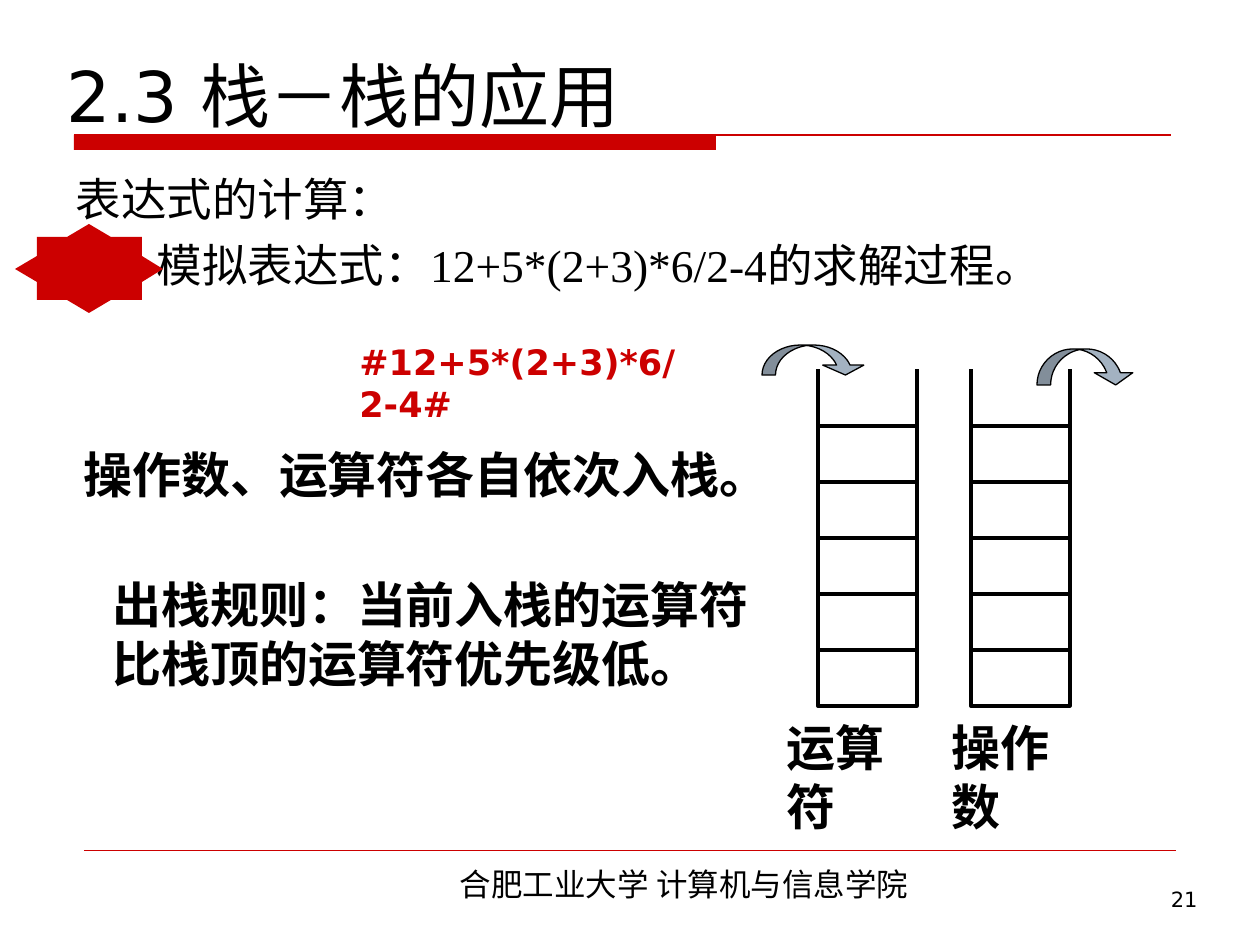
from lxml import etree
from pptx import Presentation, util as u
from pptx.dml.color import RGBColor
from pptx.enum import shapes, text
from pptx.oxml.ns import qn

PX = 914400 / 126
RED, BLACK, STEEL = "CC0000", "000000", "A3B2C1"
SANS, CJK, SERIF = "DejaVu Sans", "Noto Sans CJK SC", "Times New Roman"
LEFT, CENTER, RIGHT = text.PP_ALIGN.LEFT, text.PP_ALIGN.CENTER, text.PP_ALIGN.RIGHT


def px(*lengths):
    """Turn pixel lengths into a list of EMU."""
    return [u.Emu(round(n * PX)) for n in lengths]


def color(hex_string):
    return RGBColor.from_string(hex_string)


prs = Presentation()
prs.slide_width, prs.slide_height = px(1260, 945)
slide = prs.slides.add_slide(prs.slide_layouts[1])
drawn = slide.shapes

# Header bar and the straight lines: rules, then the open tops of both stacks
bar = drawn.add_shape(shapes.MSO_SHAPE.RECTANGLE, *px(74, 135, 642, 15))
bar.shadow.inherit = False
bar.fill.solid()
bar.fill.fore_color.rgb = color(RED)
bar.line.fill.background()

STACK_LEFTS = (818, 971)
CELL_W, CELL_H, CELLS_TOP, RIM = 99, 56, 426, 369
lines = [(74, 135, 1171, 135, RED, 0.75), (84, 850, 1176, 850, RED, 0.25)]
for left in STACK_LEFTS:
    for x in (left, left + CELL_W):
        lines.append((x, CELLS_TOP, x, RIM, BLACK, 2))
for x1, y1, x2, y2, tint, weight in lines:
    rule = drawn.add_connector(shapes.MSO_CONNECTOR.STRAIGHT, *px(x1, y1, x2, y2))
    rule.line.color.rgb = color(tint)
    rule.line.width = u.Pt(weight)
    etree.SubElement(rule._element.spPr, qn("a:effectLst"))

# Title
title = drawn.title
title.left, title.top, title.width, title.height = px(54, 26, 1134, 117)
title.text_frame.text = "2.3 栈－栈的应用"
title.text_frame.vertical_anchor = text.MSO_ANCHOR.BOTTOM
title.text_frame.auto_size = text.MSO_AUTO_SIZE.NONE
heading = title.text_frame.paragraphs[0]
heading.alignment = LEFT
heading.font.size = u.Pt(40)
heading.font.name = SANS
heading.font.color.rgb = color(BLACK)

# Body
body = slide.placeholders[1]
body.left, body.top, body.width, body.height = px(63, 165, 1134, 680)
body.text_frame.text = "表达式的计算：\n模拟表达式：12+5*(2+3)*6/2-4的求解过程。"
body.text_frame.auto_size = text.MSO_AUTO_SIZE.NONE
for paragraph, margin, before in zip(body.text_frame.paragraphs, px(0, 81), (0, 6.5)):
    props = paragraph._p.get_or_add_pPr()
    props.set("marL", str(margin))
    props.set("indent", "0")
    paragraph.space_before = u.Pt(before)
    etree.SubElement(props, qn("a:buNone"))
    paragraph.font.size = u.Pt(26)
    paragraph.font.name = SERIF
    paragraph.font.color.rgb = color(BLACK)

# Example marker
points = [(15, 269), (37, 282), (37, 300), (67, 300), (89, 313), (111, 300),
          (142, 300), (142, 282), (163, 269), (142, 256), (142, 237), (111, 237),
          (89, 224), (67, 237), (37, 237), (37, 256)]
outline = drawn.build_freeform(*points[0], scale=PX)
outline.add_line_segments(points[1:], close=True)
marker = outline.convert_to_shape()
marker.shadow.inherit = False
marker.fill.solid()
marker.fill.fore_color.rgb = color(RED)
marker.line.fill.background()

# Stack cells
for left in STACK_LEFTS:
    for row in range(5):
        cell = drawn.add_shape(shapes.MSO_SHAPE.RECTANGLE,
                               *px(left, CELLS_TOP + row * CELL_H, CELL_W, CELL_H))
        cell.shadow.inherit = False
        cell.fill.background()
        cell.line.color.rgb = color(BLACK)
        cell.line.width = u.Pt(2)

# Push and pop arrows
for box, bends in [((762, 345, 104, 30), (0.45, 1.37, 0.33)),
                   ((1037, 349, 98, 36), (0.38, 1.07, 0.34))]:
    arrow = drawn.add_shape(shapes.MSO_SHAPE.CURVED_DOWN_ARROW, *px(*box))
    arrow.shadow.inherit = False
    for i, bend in enumerate(bends):
        arrow.adjustments[i] = bend
    arrow.fill.solid()
    arrow.fill.fore_color.rgb = color(STEEL)
    arrow.line.color.rgb = color(BLACK)
    arrow.line.width = u.Pt(0.75)

# Labels: words, place, size, font, colour, bold, alignment, wrap
labels = [
    ("运算符", (774, 711, 171, 72), 28, SANS, BLACK, True, LEFT, False),
    ("操作数", (939, 711, 171, 72), 28, SANS, BLACK, True, LEFT, False),
    ("#12+5*(2+3)*6/2-4#", (347, 334, 359, 55), 20, SANS, RED, True, LEFT, True),
    ("操作数、运算符各自依次入栈。", (71, 438, 709, 72), 28, SANS, BLACK, True, LEFT, False),
    ("出栈规则：当前入栈的运算符\v比栈顶的运算符优先级低。", (100, 568, 661, 131),
     28, SANS, BLACK, True, LEFT, False),
    ("合肥工业大学 计算机与信息学院", (302, 859, 764, 50), 18, CJK, BLACK, False, CENTER, True),
    ("21", (937, 880, 273, 65), 12, SANS, BLACK, False, RIGHT, True),
]
for words, box, size, font, tint, bold, align, wrap in labels:
    label = drawn.add_textbox(*px(*box)).text_frame
    label.text = words
    label.word_wrap = wrap
    line = label.paragraphs[0]
    line.alignment = align
    for run in line.runs:
        run.font.size = u.Pt(size)
        run.font.name = font
        run.font.bold = bold
        run.font.color.rgb = color(tint)

prs.save("out.pptx")
